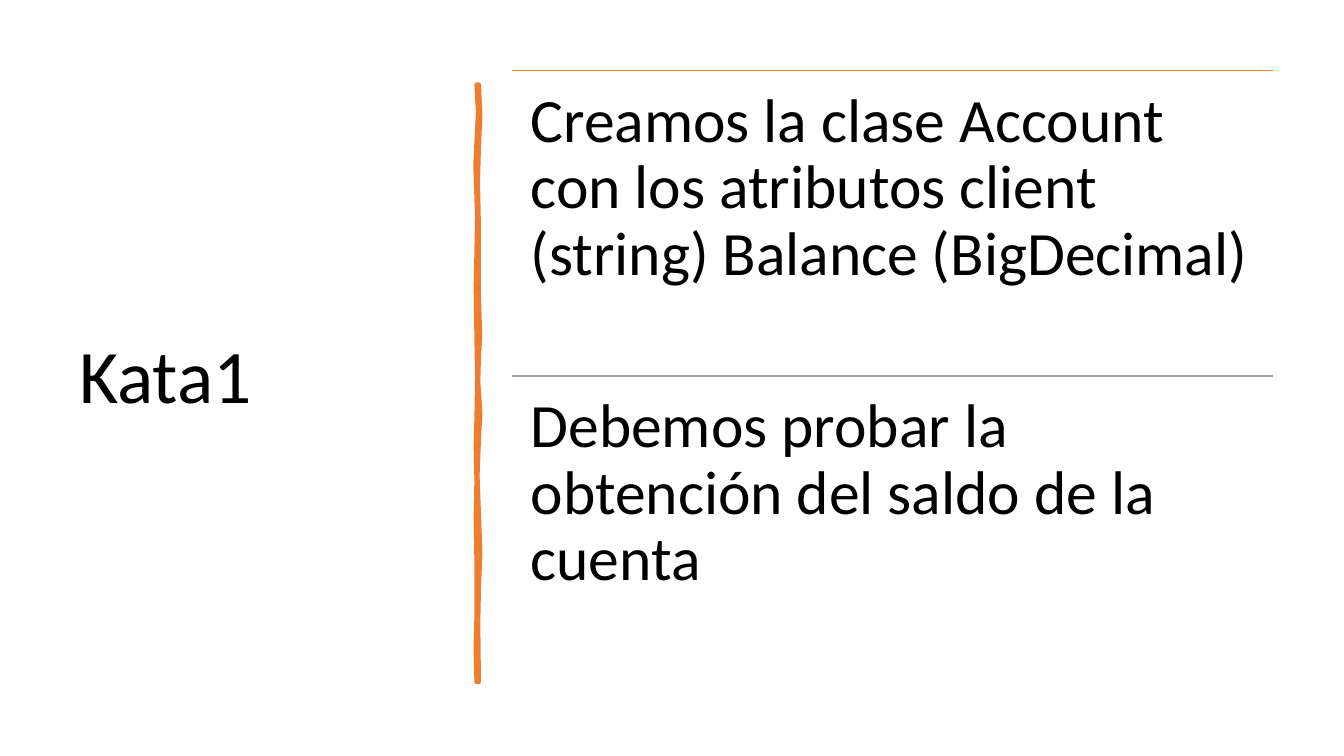
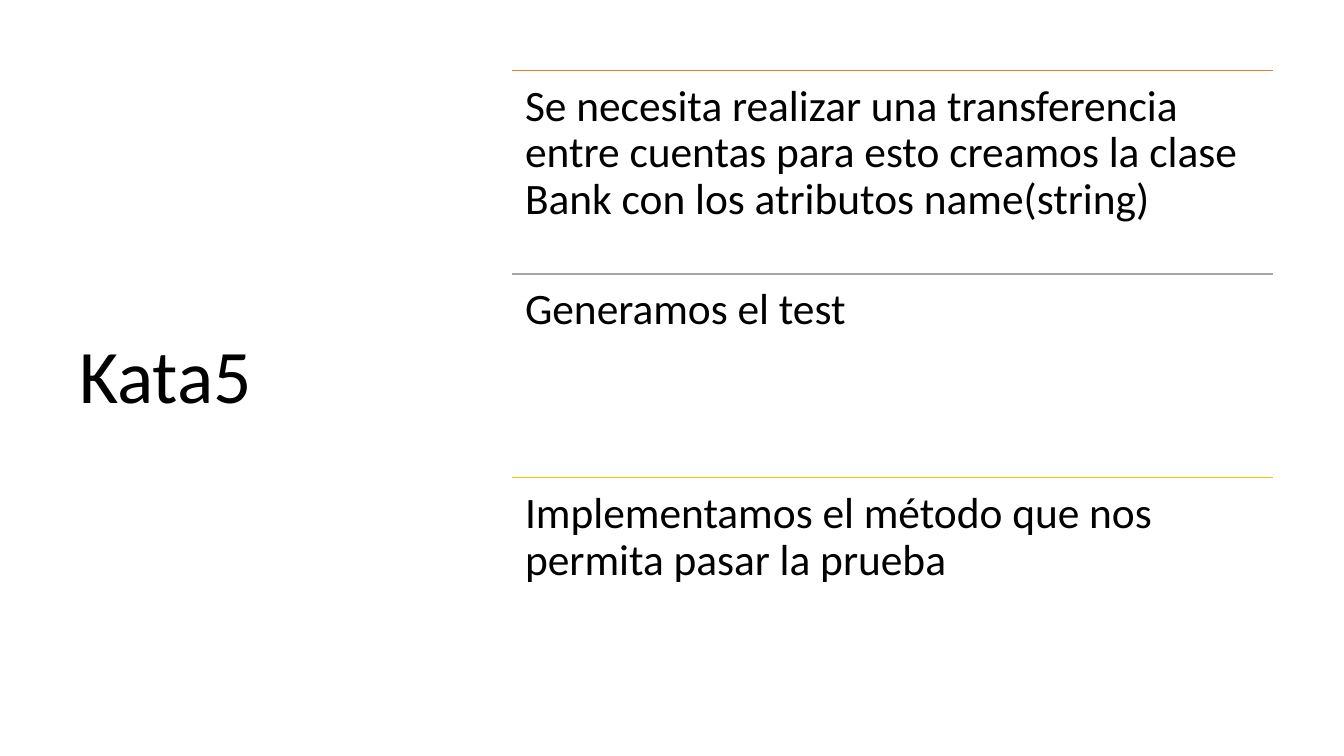
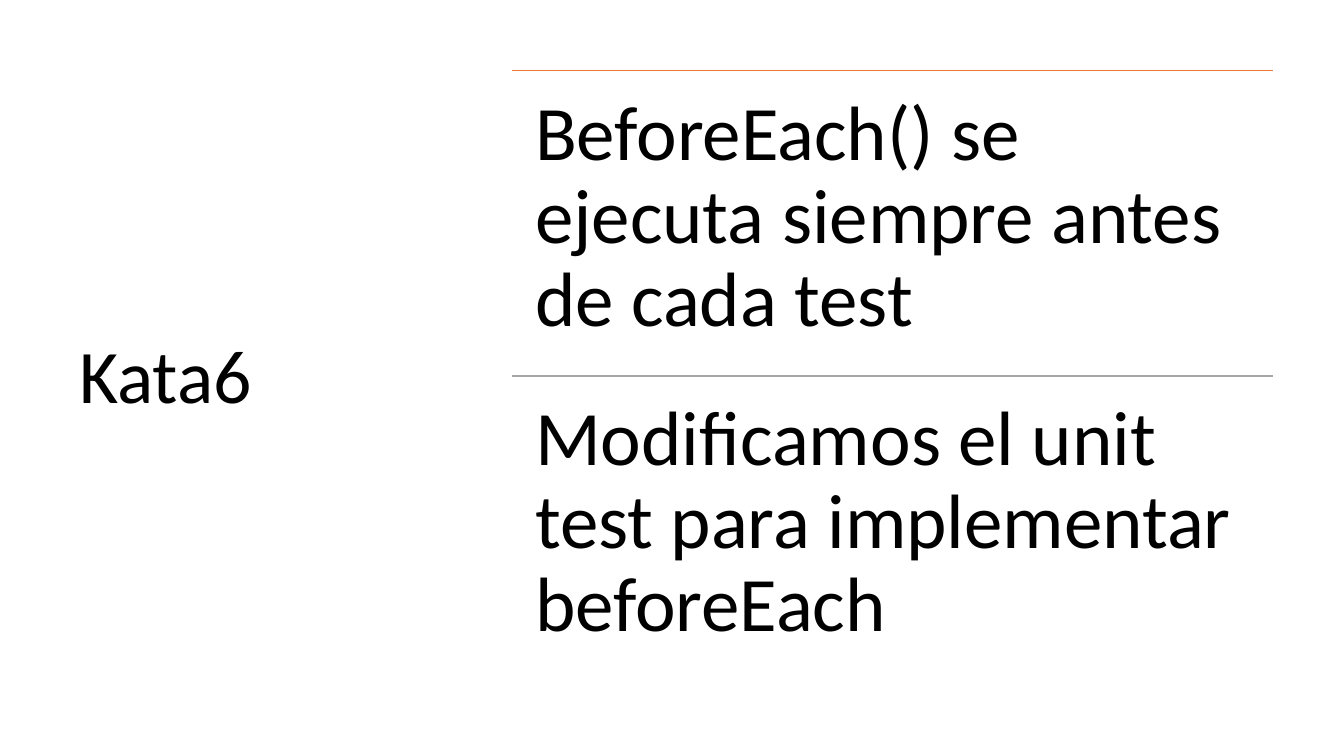
"""Build three kata slides, each with a title and a ruled list of steps."""
import pptx
import pptx.dml.color
import pptx.enum.shapes
import pptx.enum.text
import pptx.oxml
import pptx.util
import lxml.etree

Pt = pptx.util.Pt
RGBColor = pptx.dml.color.RGBColor

BLACK = RGBColor(0x00, 0x00, 0x00)
ORANGE = RGBColor(0xED, 0x7D, 0x31)
GRAY = RGBColor(0xA5, 0xA5, 0xA5)
GOLD = RGBColor(0xFF, 0xC0, 0x00)
RULE_COLORS = (ORANGE, GRAY, GOLD)

FONT = "Calibri"
TITLE_SIZE = 54
STEPS_LEFT, STEPS_TOP = 365.75, 50.4
STEPS_WIDTH, STEPS_HEIGHT = 543.6, 436.3
STEP_INSET_RATIO = 0.3

BRUSH_RIGHT = (
    (342, 60.5), (343, 82), (342, 105), (341.3, 130), (342, 163), (342, 212),
    (342.9, 240), (342, 256), (341.5, 272), (343, 295), (342, 314),
    (341, 340), (342, 367), (343, 395), (342, 420), (341.5, 445), (342, 487),
)
BRUSH_LEFT = (
    (340.5, 487), (339.9, 462), (340.5, 441), (340.5, 401), (340, 370),
    (340.5, 343), (340, 318), (340.5, 299), (341, 270), (340.5, 241),
    (340, 205), (340.5, 180), (341, 155), (339.7, 118), (341.6, 80),
    (340.5, 60.5),
)

KATAS = (
    ("Kata1", 44, True, (
        "Creamos la clase Account con los atributos client (string) Balance (BigDecimal)",
        "Debemos probar la obtención del saldo de la cuenta",
    )),
    ("Kata5", 31, False, (
        "Se necesita realizar una transferencia entre cuentas para esto creamos "
        "la clase Bank con los atributos name(string)",
        "Generamos el test",
        "Implementamos el método que nos permita pasar la prueba",
    )),
    ("Kata6", 55, False, (
        "BeforeEach() se ejecuta siempre antes de cada test",
        "Modificamos el unit test para implementar beforeEach",
    )),
)


class Deck:
    """Hold the shared style and the current slide."""

    def __init__(self):
        """Start an empty widescreen presentation."""
        self.presentation = pptx.Presentation()
        self.presentation.slide_width = Pt(960)
        self.presentation.slide_height = Pt(540)
        self.slide = None

    def add_slide(self, title):
        """Add a blank slide with its title at the left."""
        self.slide = self.presentation.slides.add_slide(self.presentation.slide_layouts[6])
        self.text(title, 49.7, 50.4, 269.3, 439.9, TITLE_SIZE, (7.2, 3.6),
                  pptx.enum.text.MSO_ANCHOR.MIDDLE)

    def text(self, content, left, top, width, height, size, insets,
             anchor=pptx.enum.text.MSO_ANCHOR.TOP):
        """Add a wrapped text box with horizontal and vertical insets."""
        shape = self.slide.shapes.add_textbox(Pt(left), Pt(top), Pt(width), Pt(height))
        frame = shape.text_frame
        frame.word_wrap = True
        frame.vertical_anchor = anchor
        frame.margin_left = frame.margin_right = Pt(insets[0])
        frame.margin_top = frame.margin_bottom = Pt(insets[1])
        paragraph = frame.paragraphs[0]
        paragraph.line_spacing = 0.9
        run = paragraph.add_run()
        run.text = content
        run.font.name = FONT
        run.font.size = Pt(size)
        run.font.color.rgb = BLACK

    def rule(self, top, color):
        """Draw a thin line across the step column."""
        connector = self.slide.shapes.add_connector(
            pptx.enum.shapes.MSO_CONNECTOR.STRAIGHT,
            Pt(STEPS_LEFT), Pt(top), Pt(STEPS_LEFT + STEPS_WIDTH), Pt(top))
        connector.line.color.rgb = color
        connector.line.width = Pt(1)
        lxml.etree.SubElement(connector._element.spPr, pptx.oxml.ns.qn("a:effectLst"))

    def steps(self, contents, size):
        """Stack the steps in equal rows, each under its own rule."""
        row_height = STEPS_HEIGHT / len(contents)
        inset = size * STEP_INSET_RATIO
        for index, (content, color) in enumerate(zip(contents, RULE_COLORS)):
            top = STEPS_TOP + index * row_height
            self.rule(top, color)
            self.text(content, STEPS_LEFT, top, STEPS_WIDTH, row_height, size, (inset, inset))

    def brush_stroke(self):
        """Draw the uneven vertical stroke beside the title."""
        points = [(Pt(x), Pt(y)) for x, y in BRUSH_RIGHT + BRUSH_LEFT]
        builder = self.slide.shapes.build_freeform(*points[0])
        builder.add_line_segments(points[1:], close=True)
        shape = builder.convert_to_shape()
        shape.shadow.inherit = False
        shape.fill.solid()
        shape.fill.fore_color.rgb = ORANGE
        shape.line.color.rgb = ORANGE
        shape.line.width = Pt(3.25)


def main():
    """Build and save the slides."""
    deck = Deck()
    for title, size, has_stroke, contents in KATAS:
        deck.add_slide(title)
        if has_stroke:
            deck.brush_stroke()
        deck.steps(contents, size)
    deck.presentation.save("out.pptx")


if __name__ == "__main__":
    main()
